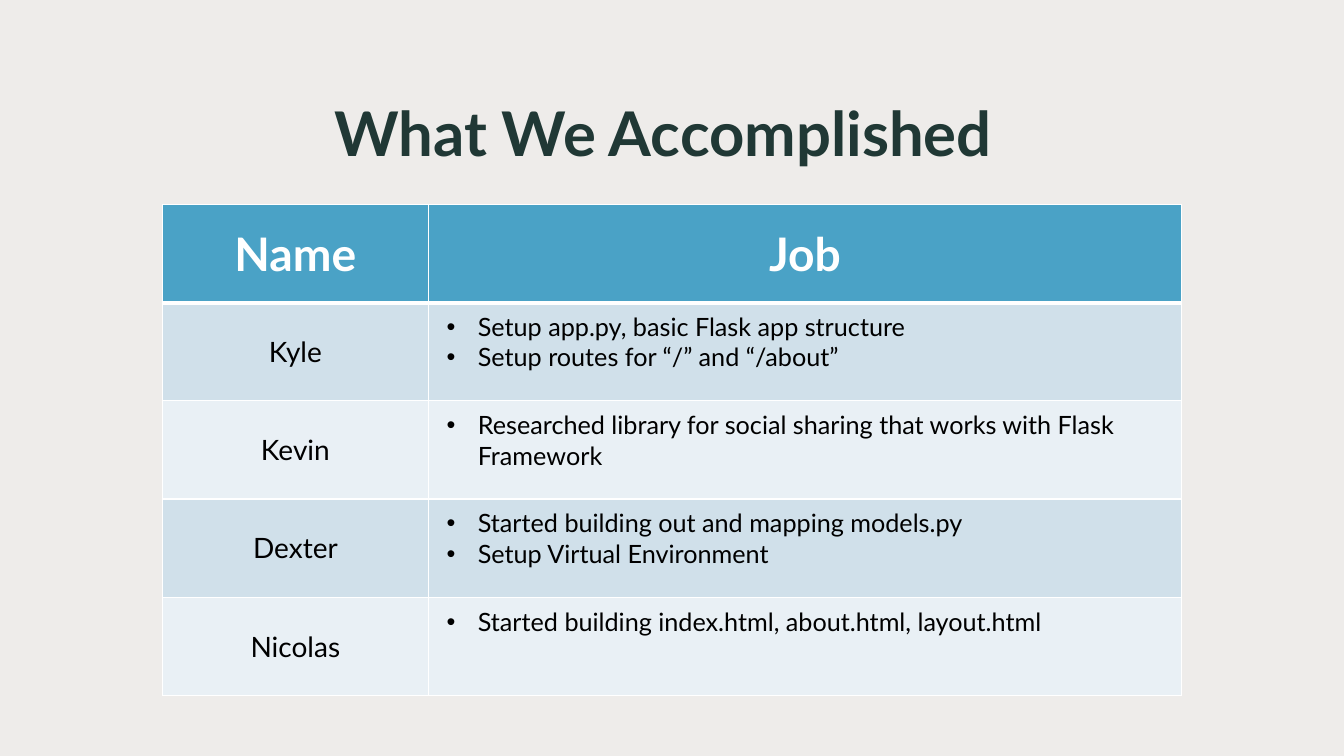
from pptx import Presentation
from pptx.dml.color import RGBColor
from pptx.enum import shapes, text
from pptx.oxml.ns import qn
from pptx.util import Inches, Pt
from lxml import etree

# Content
TITLE = "What We Accomplished"
HEADERS = ("Name", "Job")
JOBS = [
    ("Kyle", ["Setup app.py, basic Flask app structure",
              "Setup routes for “/” and “/about”"]),
    ("Kevin", ["Researched library for social sharing that works with Flask Framework"]),
    ("Dexter", ["Started building out and mapping models.py",
                "Setup Virtual Environment"]),
    ("Nicolas", ["Started building index.html, about.html, layout.html"]),
]
COLORS = {"white": "FFFFFF", "veil": "E8E4E2", "title": "203835", "header": "4AA2C6",
          "odd": "D0E0EA", "even": "E9F0F5", "black": "000000"}
FONT = "Lato"
COL_WIDTHS = (2.64, 7.47)
ROW_HEIGHT = 0.974
INDENT = 0.31


def rgb(name):
    return RGBColor.from_string(COLORS[name])


def write(tf, lines, size, color="black", bold=False, bullets=False):
    for i, line in enumerate(lines):
        p = tf.paragraphs[0] if i == 0 else tf.add_paragraph()
        p.alignment = text.PP_ALIGN.LEFT if bullets else text.PP_ALIGN.CENTER
        r = p.add_run()
        r.text = line
        r.font.name, r.font.size, r.font.bold = FONT, Pt(size), bold
        r.font.color.rgb = rgb(color)
        if bullets:
            pPr = p._p.get_or_add_pPr()
            pPr.set("marL", str(Inches(INDENT)))
            pPr.set("indent", str(-Inches(INDENT)))
            etree.SubElement(pPr, qn("a:buFont"), typeface="Arial")
            etree.SubElement(pPr, qn("a:buChar"), char="•")


def set_borders(cell, bottom):
    tcPr = cell._tc.get_or_add_tcPr()
    for side, width in (("L", 1), ("R", 1), ("T", 1), ("B", bottom)):
        ln = etree.SubElement(tcPr, qn(f"a:ln{side}"), w=str(Pt(width)))
        fill = etree.SubElement(ln, qn("a:solidFill"))
        etree.SubElement(fill, qn("a:srgbClr"), val=COLORS["white"])


def fill_cell(cell, lines, fill, border_bottom=1, top=False, **fmt):
    set_borders(cell, border_bottom)
    cell.fill.solid()
    cell.fill.fore_color.rgb = rgb(fill)
    cell.margin_left = cell.margin_right = Inches(0.18)
    cell.margin_top = cell.margin_bottom = Inches(0.09)
    cell.vertical_anchor = text.MSO_ANCHOR.TOP if top else text.MSO_ANCHOR.MIDDLE
    write(cell.text_frame, lines, **fmt)


prs = Presentation()
prs.slide_width, prs.slide_height = Inches(13.33), Inches(7.5)
s = prs.slides.add_slide(prs.slide_layouts[5])

# Backdrop: white sheet under a translucent veil, both behind the title
for z, (color, alpha) in enumerate((("white", 100), ("veil", 70))):
    sp = s.shapes.add_shape(shapes.MSO_SHAPE.RECTANGLE, 0, 0, prs.slide_width, prs.slide_height)
    sp.shadow.inherit = False
    sp.line.fill.background()
    sp.fill.solid()
    sp.fill.fore_color.rgb = rgb(color)
    if alpha < 100:
        clr = sp._element.spPr.find(qn("a:solidFill"))[0]
        etree.SubElement(clr, qn("a:alpha"), val=str(alpha * 1000))
    s.shapes._spTree.insert(2 + z, sp._element)

# Title
title = s.shapes.title
title.left, title.top, title.width, title.height = map(Inches, (0.92, 0.61, 11.32, 1.4))
title.text_frame.vertical_anchor = text.MSO_ANCHOR.MIDDLE
write(title.text_frame, [TITLE], size=44, color="title", bold=True)

# Table
rows = len(JOBS) + 1
table = s.shapes.add_table(rows, len(HEADERS), Inches(1.61), Inches(2.03),
                           Inches(sum(COL_WIDTHS)), Inches(rows * ROW_HEIGHT)).table
for col, width in zip(table.columns, COL_WIDTHS):
    col.width = Inches(width)
for row in table.rows:
    row.height = Inches(ROW_HEIGHT)

for c, header in enumerate(HEADERS):
    fill_cell(table.cell(0, c), [header], "header", border_bottom=3,
              size=33, color="white", bold=True)
for i, (name, tasks) in enumerate(JOBS, 1):
    band = "odd" if i % 2 else "even"
    fill_cell(table.cell(i, 0), [name], band, size=20)
    fill_cell(table.cell(i, 1), tasks, band, top=True, size=18, bullets=True)

prs.save("out.pptx")
